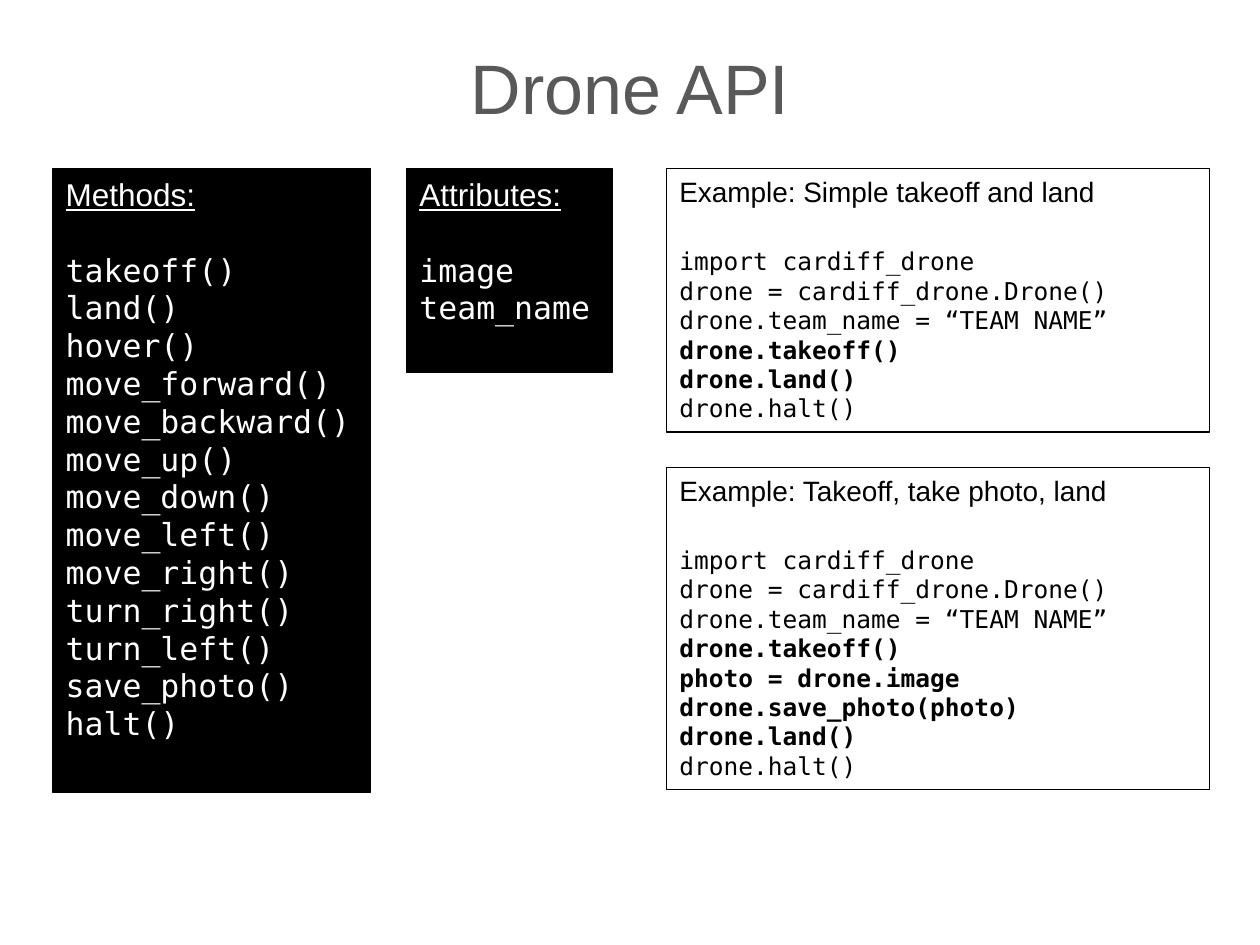
import pptx
import pptx.util
import pptx.dml.color
import pptx.enum.text
import lxml.etree

Cm, Pt = pptx.util.Cm, pptx.util.Pt
RGB = pptx.dml.color.RGBColor.from_string
ANCHOR, ALIGN = pptx.enum.text.MSO_ANCHOR, pptx.enum.text.PP_ALIGN

THEME = {
    "sans": "Arial", "mono": "DejaVu Sans Mono",
    "grey": "595959", "black": "000000", "white": "FFFFFF",
    "title": 40, "list": (18, 18), "code": (16, 14),
    "lead": 1.2, "gap": 21.6, "edge": 0.75,
}

TITLE = "Drone API"
START = ["import cardiff_drone", "drone = cardiff_drone.Drone()",
         "drone.team_name = “TEAM NAME”"]
END = ["drone.halt()"]
LISTS = [
    ("Methods:", ["takeoff()", "land()", "hover()", "move_forward()",
                  "move_backward()", "move_up()", "move_down()",
                  "move_left()", "move_right()", "turn_right()",
                  "turn_left()", "save_photo()", "halt()"],
     (1.07, 6.4, 12.57)),
    ("Attributes:", ["image", "team_name"], (8.2, 4.14, 4.11)),
]
DEMOS = [
    ("Example: Simple takeoff and land",
     ["drone.takeoff()", "drone.land()"], 5.31),
    ("Example: Takeoff, take photo, land",
     ["drone.takeoff()", "photo = drone.image",
      "drone.save_photo(photo)", "drone.land()"], 6.5),
]
TOP, GAP = 3.4, 0.71
DEMO_LEFT, DEMO_WIDE = 13.44, 10.95


def apply(item, form):
    for key, val in form.items():
        setattr(item, key, val)


def place(shape, left, top, wide, high):
    apply(shape, {"left": Cm(left), "top": Cm(top),
                  "width": Cm(wide), "height": Cm(high)})


def write(para, text, size, face, tint, **form):
    run = para.add_run()
    run.text = text
    apply(run.font, {"size": Pt(size), "name": THEME[face], **form})
    run.font.color.rgb = RGB(THEME[tint])


def plain(para, **form):
    props = para._p.get_or_add_pPr()
    props.set("marL", "0")
    props.set("indent", "0")
    apply(para, {"alignment": ALIGN.LEFT, "space_before": Pt(0),
                 "space_after": Pt(0), **form})
    lxml.etree.SubElement(props, pptx.oxml.ns.qn("a:buNone"))


def panel(shape, box, head, lines, sizes, tint, dark, bold=()):
    place(shape, *box)
    if dark:
        shape.fill.solid()
        shape.fill.fore_color.rgb = RGB(THEME["black"])
    shape.line.color.rgb = RGB(THEME["black"])
    shape.line.width = Pt(THEME["edge"])
    frame = shape.text_frame
    apply(frame, {"word_wrap": True, "vertical_anchor": ANCHOR.TOP,
                  "auto_size": pptx.enum.text.MSO_AUTO_SIZE.NONE})
    big, small = sizes
    para = frame.paragraphs[0]
    plain(para, space_after=Pt(THEME["gap"]))
    write(para, head, big, "sans", tint, underline=dark, bold=False)
    for line in lines:
        para = frame.add_paragraph()
        plain(para, line_spacing=Pt(small * THEME["lead"]))
        write(para, line, small, "mono", tint, bold=line in bold)


def main():
    deck = pptx.Presentation()
    apply(deck, {"slide_width": Cm(25.4), "slide_height": Cm(19.05)})
    layout = deck.slide_layouts.get_by_name("Comparison")
    slide = deck.slides.add_slide(layout)
    title, *slots = [s for s in slide.placeholders]
    place(title, 1.55, 0.76, 22.3, 1.96)
    title.text_frame.vertical_anchor = ANCHOR.MIDDLE
    para = title.text_frame.paragraphs[0]
    para.alignment = ALIGN.CENTER
    write(para, TITLE, THEME["title"], "sans", "grey")

    for slot, (head, lines, (left, wide, high)) in zip(slots, LISTS):
        panel(slot, (left, TOP, wide, high), head, lines,
              THEME["list"], "white", True)

    top = TOP
    for slot, (head, steps, high) in zip(slots[len(LISTS):], DEMOS):
        panel(slot, (DEMO_LEFT, top, DEMO_WIDE, high), head,
              START + steps + END, THEME["code"], "black", False, steps)
        top += high + GAP

    deck.save("out.pptx")


if __name__ == "__main__":
    main()
